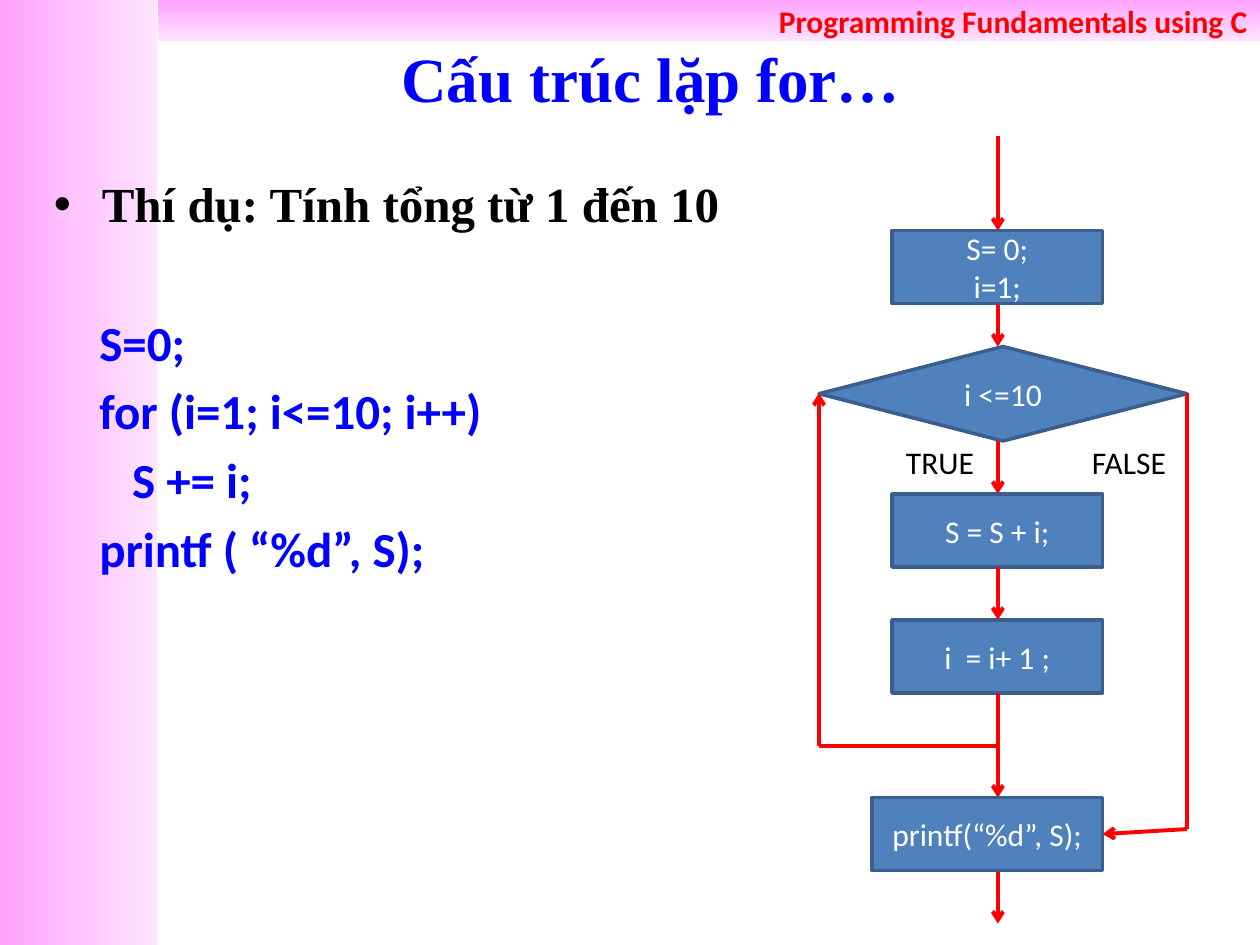
from copy import deepcopy

from lxml.etree import SubElement
from pptx import Presentation
from pptx.dml.color import RGBColor
from pptx.enum.shapes import MSO_CONNECTOR, MSO_SHAPE
from pptx.enum.text import MSO_ANCHOR, PP_ALIGN
from pptx.oxml.ns import qn
from pptx.util import Inches, Pt

RED, BLUE, BLACK, WHITE = "FF0000", "0000FF", "000000", "FFFFFF"
BOX_FILL, BOX_LINE = "4F81BD", "3A5F8C"
PINKS = ["FFA0FF", "FFC5FF", "FFE3FF"]
SERIF, SANS = "Times New Roman", "Calibri"

AXIS = 7.92  # centre line of the flow
LOOP_LEFT, LOOP_RIGHT = 6.5, 9.42
TEST_Y, JOIN_Y, EXIT_Y = 3.12, 5.92, 6.58


def rgb(value):
    return RGBColor.from_string(value)


def write(p, text, size=18, font=SANS, color=BLACK, bold=False,
          align=PP_ALIGN.CENTER, before=0, indent=0, hang=0, bullet=None):
    """Fill one paragraph; indent and hang are in inches, before in points."""
    pPr = p._p.get_or_add_pPr()
    pPr.set("marL", str(Inches(indent)))
    pPr.set("indent", str(-Inches(hang)))
    if bullet:
        SubElement(pPr, qn("a:buFont"), typeface="Arial")
        SubElement(pPr, qn("a:buChar"), char=bullet)
    else:
        SubElement(pPr, qn("a:buNone"))
    p.alignment = align
    if before:
        p.space_before = Pt(before)
    r = p.add_run()
    r.text = text
    r.font.size, r.font.name, r.font.bold = Pt(size), font, bold
    r.font.color.rgb = rgb(color)


def add_band(s, left, top, width, height, angle):
    sp = s.shapes.add_shape(MSO_SHAPE.RECTANGLE, Inches(left), Inches(top),
                            Inches(width), Inches(height))
    sp.shadow.inherit = False
    sp.line.fill.background()
    sp.fill.gradient()
    sp.fill.gradient_angle = angle
    stops = sp.element.find(".//" + qn("a:gsLst"))
    stops.insert(1, deepcopy(stops[0]))
    for i, (stop, color) in enumerate(zip(sp.fill.gradient_stops, PINKS)):
        stop.position = i / 2
        stop.color.rgb = rgb(color)
    return sp


def add_step(shapes, lines, left, top, width=1.67, height=0.58,
             kind=MSO_SHAPE.RECTANGLE):
    sp = shapes.add_shape(kind, Inches(left), Inches(top),
                          Inches(width), Inches(height))
    sp.shadow.inherit = False
    sp.fill.solid()
    sp.fill.fore_color.rgb = rgb(BOX_FILL)
    sp.line.color.rgb = rgb(BOX_LINE)
    sp.line.width = Pt(2)
    tf = sp.text_frame
    tf.vertical_anchor = MSO_ANCHOR.MIDDLE
    for i, line in enumerate(lines):
        p = tf.add_paragraph() if i else tf.paragraphs[0]
        write(p, line, color=WHITE)


def add_line(shapes, x1, y1, x2, y2, arrow=True):
    cx = shapes.add_connector(MSO_CONNECTOR.STRAIGHT, Inches(x1), Inches(y1),
                              Inches(x2), Inches(y2))
    cx.line.color.rgb = rgb(RED)
    cx.line.width = Pt(2.25)
    if arrow:
        SubElement(cx.line._get_or_add_ln(), qn("a:tailEnd"), type="arrow")
    SubElement(cx.element.spPr, qn("a:effectLst"))


def add_text_box(shapes, left, top, width, height):
    sp = shapes.add_textbox(Inches(left), Inches(top),
                            Inches(width), Inches(height))
    sp.text_frame.word_wrap = True
    return sp.text_frame


def add_label(shapes, text, left):
    tf = add_text_box(shapes, left, 3.5, 0.92, 0.33)
    tf.vertical_anchor = MSO_ANCHOR.MIDDLE
    write(tf.paragraphs[0], text)


def add_frame(s):
    add_band(s, 0, 0, 1.25, 7.5, angle=0)
    header = add_band(s, 1.25, 0, 8.75, 0.33, angle=270)
    header.text_frame.vertical_anchor = MSO_ANCHOR.MIDDLE
    write(header.text_frame.paragraphs[0], "Programming Fundamentals using C",
          color=RED, bold=True, align=PP_ALIGN.RIGHT)


def add_title(s, text):
    title = s.shapes.title
    title.left, title.top = Inches(0.83), Inches(0.3)
    title.width, title.height = Inches(8.67), Inches(0.62)
    title.text_frame.vertical_anchor = MSO_ANCHOR.MIDDLE
    write(title.text_frame.paragraphs[0], text, size=36, font=SERIF,
          color=BLUE, bold=True)
    title.element.getparent().append(title.element)  # in front of the bands


def add_example(s):
    tf = add_text_box(s.shapes, 0.33, 1.33, 5.92, 4)
    write(tf.paragraphs[0], "Thí dụ: Tính tổng từ 1 đến 10", size=28,
          font=SERIF, bold=True, align=PP_ALIGN.LEFT,
          indent=0.38, hang=0.38, bullet="•")
    code = [("S=0;", 0.36, 45.4), ("for (i=1; i<=10; i++)", 0.36, 5.6),
            ("S += i;", 0.62, 5.6), ("printf ( “%d”, S);", 0.36, 5.6)]
    for text, indent, before in code:
        write(tf.add_paragraph(), text, size=28, color=BLUE, bold=True,
              align=PP_ALIGN.LEFT, indent=indent, before=before)


def add_flowchart(s):
    shapes = s.shapes.add_group_shape().shapes
    add_step(shapes, ["S= 0;", "i=1;"], 7.08, 1.83)
    add_step(shapes, ["S = S + i;"], 7.08, 3.92)
    add_step(shapes, ["i  = i+ 1 ;"], 7.08, 4.92)
    add_step(shapes, ["i <=10"], LOOP_LEFT, 2.75, LOOP_RIGHT - LOOP_LEFT, 0.75,
             kind=MSO_SHAPE.DIAMOND)

    for start, end in [(1.08, 1.83), (2.42, 2.75), (3.5, 3.92), (4.5, 4.92),
                       (5.5, 6.33), (6.92, 7.33)]:
        add_line(shapes, AXIS, start, AXIS, end)
    add_line(shapes, LOOP_RIGHT, TEST_Y, LOOP_RIGHT, EXIT_Y, arrow=False)
    add_line(shapes, LOOP_RIGHT, EXIT_Y, 8.75, 6.62)
    add_line(shapes, AXIS, JOIN_Y, LOOP_LEFT, JOIN_Y, arrow=False)
    add_line(shapes, LOOP_LEFT, JOIN_Y, LOOP_LEFT, TEST_Y)

    add_step(shapes, ["printf(“%d”, S);"], 6.92, 6.33, width=1.83)
    add_label(shapes, "TRUE", 7)
    add_label(shapes, "FALSE", 8.5)


def main():
    prs = Presentation()
    prs.slide_width, prs.slide_height = Inches(10), Inches(7.5)
    s = prs.slides.add_slide(prs.slide_layouts[5])
    add_frame(s)
    add_title(s, "Cấu trúc lặp for…")
    add_example(s)
    add_flowchart(s)
    prs.save("out.pptx")


if __name__ == "__main__":
    main()
